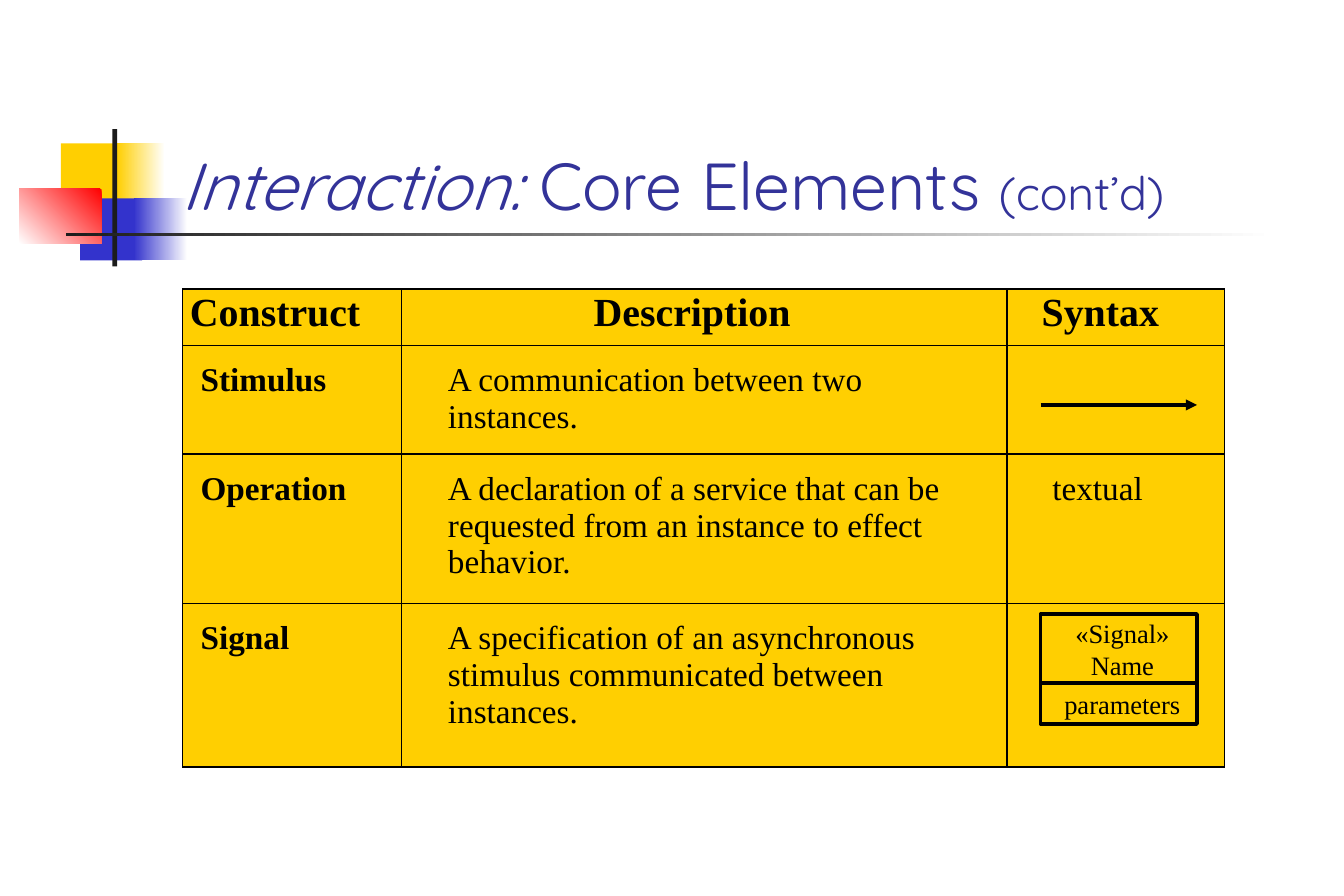
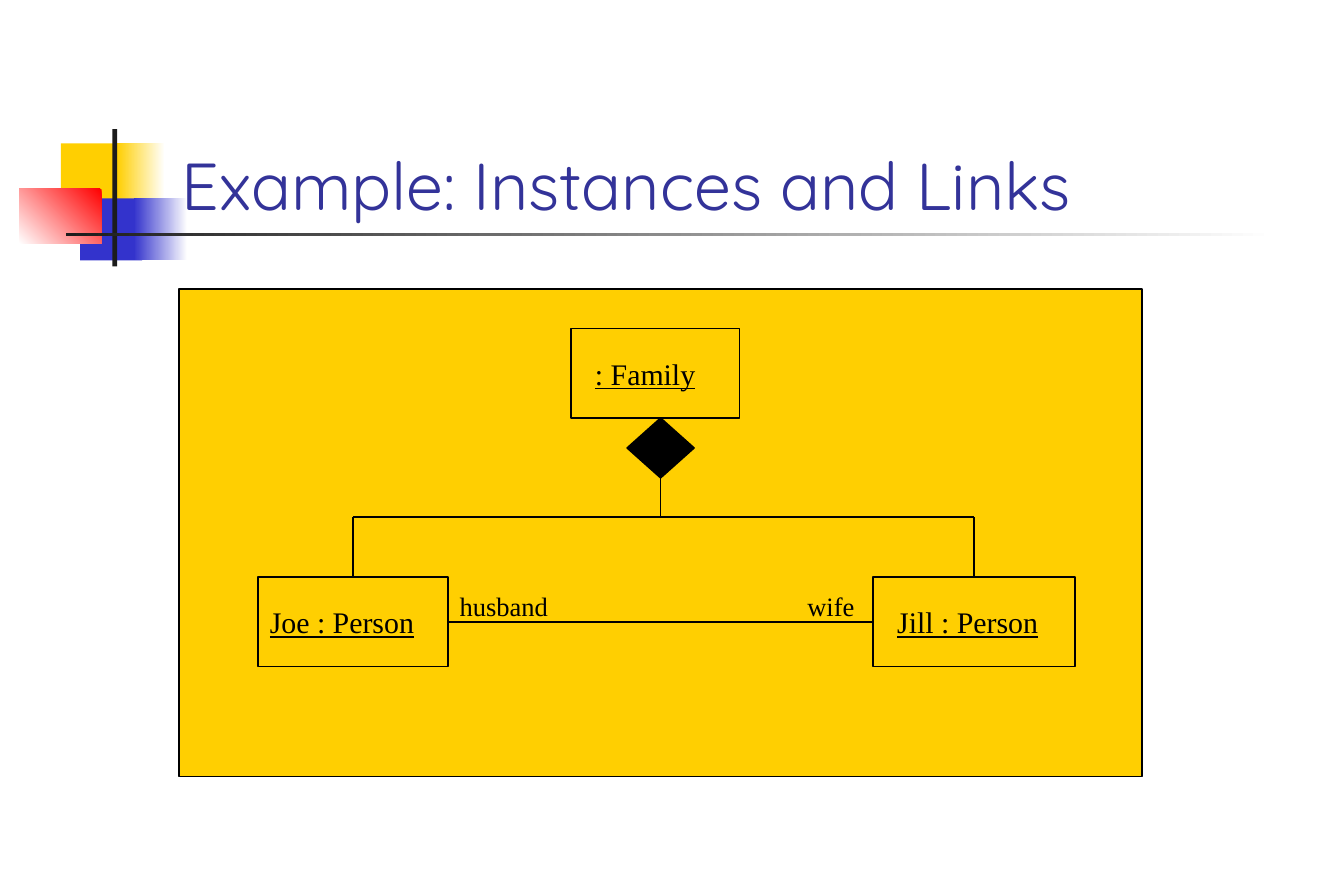
from dataclasses import dataclass

import pptx
import pptx.dml.color
import pptx.enum.shapes
import pptx.enum.text
import pptx.oxml
import pptx.oxml.ns
import pptx.util
from pptx.util import Inches

SHAPE = pptx.enum.shapes.MSO_SHAPE
ALIGN = pptx.enum.text.PP_ALIGN
ANCHOR = pptx.enum.text.MSO_ANCHOR


@dataclass(frozen=True)
class Theme:
    yellow: str = "FFCF01"
    blue: str = "3333CC"
    red: str = "FF0000"
    white: str = "FFFFFF"
    black: str = "000000"
    charcoal: str = "1C1C1C"
    title_color: str = "333399"
    title_font: str = "Quicksand"
    body_font: str = "Times New Roman"
    title_size: int = 40
    title_small: int = 28
    header_size: int = 24
    body_size: int = 20
    object_size: int = 18
    label_size: int = 16
    thin: float = 1
    thick: float = 2.25


THEME = Theme()

# Left, top, width, height; then one colour, or (start, end, angle)
DECORATION = [
    ((0.51, 1.2, 0.54, 0.52), THEME.yellow),
    ((0.98, 1.2, 0.4, 0.52), (THEME.white, THEME.yellow, 180)),
    ((0.67, 1.66, 0.52, 0.52), THEME.blue),
    ((1.12, 1.66, 0.45, 0.52), (THEME.white, THEME.blue, 180)),
    ((0.16, 1.58, 0.69, 0.46), (THEME.red, THEME.white, 225)),
    ((0.94, 1.08, 0.04, 1.15), THEME.charcoal),
    ((0.55, 1.95, 10.12, 0.03), (THEME.white, THEME.charcoal, 180)),
]
TITLE_AREA = (1.42, 0.67, 9.59, 1.25)

ELEMENTS_TITLE = [
    ("Interaction:", {"italic": True}),
    (" Core Elements ", {}),
    ("(cont’d)", {"size": THEME.title_small}),
]
ELEMENTS = [
    ("Construct", "Description", "Syntax"),
    ("Stimulus", "A communication between two instances.", ""),
    ("Operation", "A declaration of a service that can be requested from an "
     "instance to effect behavior.", "textual"),
    ("Signal", "A specification of an asynchronous stimulus communicated "
     "between instances.", ""),
]
COLUMN_EDGES = [1.53, 3.36, 8.43, 10.25]
ROW_EDGES = [2.42, 2.89, 3.8, 5.05, 6.42]
HEADER_INDENTS = [0.06, 1.61, 0.29]
BODY_INDENTS = [0.15, 0.39, 0.38]
SYNTAX_LEFT, SYNTAX_WIDTH = 8.71, 1.31
SIGNAL_PARTS = [("«Signal»\nName", 5.14, 0.58), ("parameters", 5.72, 0.34)]

LINKS_TITLE = "Example: Instances and Links"
LINKS_PANEL = (1.5, 2.42, 8.06, 4.08)
# Text, area, left inset
OBJECTS = {
    "family": (": Family", (4.78, 2.75, 1.41, 0.75), 0.2),
    "joe": ("Joe : Person", (2.16, 4.83, 1.59, 0.75), 0.1),
    "jill": ("Jill : Person", (7.31, 4.83, 1.69, 0.75), 0.2),
}
ROLES = [("husband", (3.75, 4.89, 0.94, 0.37)), ("wife", (6.66, 4.89, 0.59, 0.37))]
DIAMOND = (5.25, 3.5, 0.56, 0.5)
BRANCH_TOP = 4.33


def rgb(color):
    return pptx.dml.color.RGBColor.from_string(color)


def inches(values):
    return [Inches(value) for value in values]


def write(box, text, size=THEME.body_size, color=THEME.black, font=THEME.body_font,
          bold=False, underline=False, align=ALIGN.LEFT, anchor=ANCHOR.TOP,
          margins=(0.1, 0.05, 0.1, 0.05), wrap=True):
    """Fill a shape or a table cell; text is a string or a list of (text, changes)."""
    frame = box.text_frame
    holder = box if hasattr(box, "margin_left") else frame
    holder.margin_left, holder.margin_top, holder.margin_right, holder.margin_bottom = inches(margins)
    holder.vertical_anchor = anchor
    if holder is frame:
        frame.word_wrap = wrap
        frame.auto_size = pptx.enum.text.MSO_AUTO_SIZE.NONE
    lines = [[(line, {})] for line in text.split("\n")] if isinstance(text, str) else [text]
    for number, spans in enumerate(lines):
        para = frame.add_paragraph() if number else frame.paragraphs[0]
        para.alignment = align
        for content, changes in spans:
            span = para.add_run()
            span.text = content
            span.font.name = font
            span.font.size = pptx.util.Pt(changes.get("size", size))
            span.font.color.rgb = rgb(color)
            span.font.bold = bold
            span.font.underline = underline
            span.font.italic = changes.get("italic", False)


def add_box(page, area, fill=None, line=None, kind=SHAPE.RECTANGLE):
    box = page.shapes.add_shape(kind, *inches(area))
    box.shadow.inherit = False
    if fill is None:
        box.fill.background()
    elif isinstance(fill, str):
        box.fill.solid()
        box.fill.fore_color.rgb = rgb(fill)
    else:
        *colors, angle = fill
        box.fill.gradient()
        box.fill.gradient_angle = angle
        for stop, color in zip(box.fill.gradient_stops, colors):
            stop.color.rgb = rgb(color)
    if line is None:
        box.line.fill.background()
    else:
        box.line.color.rgb = rgb(THEME.black)
        box.line.width = pptx.util.Pt(line)
    return box


def add_line(page, start=(0, 0), end=(0, 0), width=THEME.thin, begin_at=None, end_at=None, arrow=False):
    """Draw a line between points, or from and to a (shape, side) pair."""
    line = page.shapes.add_connector(
        pptx.enum.shapes.MSO_CONNECTOR.STRAIGHT, *inches(start), *inches(end))
    if begin_at:
        line.begin_connect(*begin_at)
    if end_at:
        line.end_connect(*end_at)
    line.line.color.rgb = rgb(THEME.black)
    line.line.width = pptx.util.Pt(width)
    if arrow:
        line.line._get_or_add_ln().append(pptx.oxml.parse_xml(
            f'<a:tailEnd {pptx.oxml.ns.nsdecls("a")} type="triangle"/>'))
    line.element.spPr.append(pptx.oxml.parse_xml(
        f'<a:effectLst {pptx.oxml.ns.nsdecls("a")}/>'))
    return line


def add_borders(cell):
    properties = cell._tc.get_or_add_tcPr()
    for side in "LRTB":
        properties.append(pptx.oxml.parse_xml(
            f'<a:ln{side} {pptx.oxml.ns.nsdecls("a")} w="{pptx.util.Pt(THEME.thin)}">'
            f'<a:solidFill><a:srgbClr val="{THEME.black}"/></a:solidFill></a:ln{side}>'))


def prepare_layout(page):
    """Place the title and the decoration on the layout, drawing by way of the page."""
    layout = page.slide_layout
    title = layout.placeholders[0]
    title.left, title.top, title.width, title.height = inches(TITLE_AREA)
    for number, (area, fill) in enumerate(DECORATION):
        box = add_box(page, area, fill)
        box.element.nvSpPr.cNvPr.set("id", str(100 + number))
        layout.shapes.element.append(box.element)


def add_page(deck, title):
    page = deck.slides.add_slide(deck.slide_layouts[5])
    write(page.shapes.title, title, size=THEME.title_size, color=THEME.title_color,
          font=THEME.title_font, anchor=ANCHOR.BOTTOM)
    return page


def build_elements(page):
    left, top = COLUMN_EDGES[0], ROW_EDGES[0]
    table = page.shapes.add_table(
        len(ELEMENTS), len(ELEMENTS[0]),
        *inches((left, top, COLUMN_EDGES[-1] - left, ROW_EDGES[-1] - top))).table
    table.first_row = table.horz_banding = False
    for column, start, end in zip(table.columns, COLUMN_EDGES, COLUMN_EDGES[1:]):
        column.width = Inches(end - start)
    for row, start, end in zip(table.rows, ROW_EDGES, ROW_EDGES[1:]):
        row.height = Inches(end - start)
    for row, texts in enumerate(ELEMENTS):
        header = row == 0
        indents = HEADER_INDENTS if header else BODY_INDENTS
        for column, text in enumerate(texts):
            cell = table.cell(row, column)
            add_borders(cell)
            cell.fill.solid()
            cell.fill.fore_color.rgb = rgb(THEME.yellow)
            write(cell, text, size=THEME.header_size if header else THEME.body_size,
                  bold=header or column == 0,
                  margins=(indents[column], 0.02 if header else 0.14,
                           0.37 if column == 1 and not header else 0, 0))

    add_line(page, (SYNTAX_LEFT, 3.39), (SYNTAX_LEFT + SYNTAX_WIDTH, 3.39),
             width=THEME.thick, arrow=True)
    for text, part_top, height in SIGNAL_PARTS:
        part = add_box(page, (SYNTAX_LEFT, part_top, SYNTAX_WIDTH, height), line=THEME.thick)
        write(part, text, size=THEME.label_size, align=ALIGN.CENTER,
              anchor=ANCHOR.MIDDLE, margins=(0.06, 0, 0, 0))


def build_links(page):
    add_box(page, LINKS_PANEL, THEME.yellow, THEME.thin)
    boxes = {}
    for name, (text, area, inset) in OBJECTS.items():
        boxes[name] = add_box(page, area, line=THEME.thin)
        write(boxes[name], text, size=THEME.object_size, underline=True,
              anchor=ANCHOR.MIDDLE, margins=(inset, 0.05, 0, 0.05), wrap=False)
    for text, area in ROLES:
        write(page.shapes.add_textbox(*inches(area)), text, size=THEME.label_size, wrap=False)

    diamond = add_box(page, DIAMOND, THEME.black, THEME.thin, SHAPE.FLOWCHART_DECISION)
    add_line(page, begin_at=(boxes["joe"], 3), end_at=(boxes["jill"], 1))
    add_line(page, end=(DIAMOND[0] + DIAMOND[2] / 2, BRANCH_TOP), begin_at=(diamond, 2))
    centers = [OBJECTS[name][1][0] + OBJECTS[name][1][2] / 2 for name in ("joe", "jill")]
    add_line(page, (centers[0], BRANCH_TOP), (centers[1], BRANCH_TOP))
    for name, center in zip(("joe", "jill"), centers):
        add_line(page, start=(center, BRANCH_TOP), end=(center, BRANCH_TOP),
                 end_at=(boxes[name], 0))


def main():
    deck = pptx.Presentation()
    deck.slide_width, deck.slide_height = inches((11.25, 7.5))
    elements = add_page(deck, ELEMENTS_TITLE)
    prepare_layout(elements)
    build_elements(elements)
    build_links(add_page(deck, LINKS_TITLE))
    deck.save("out.pptx")


if __name__ == "__main__":
    main()
